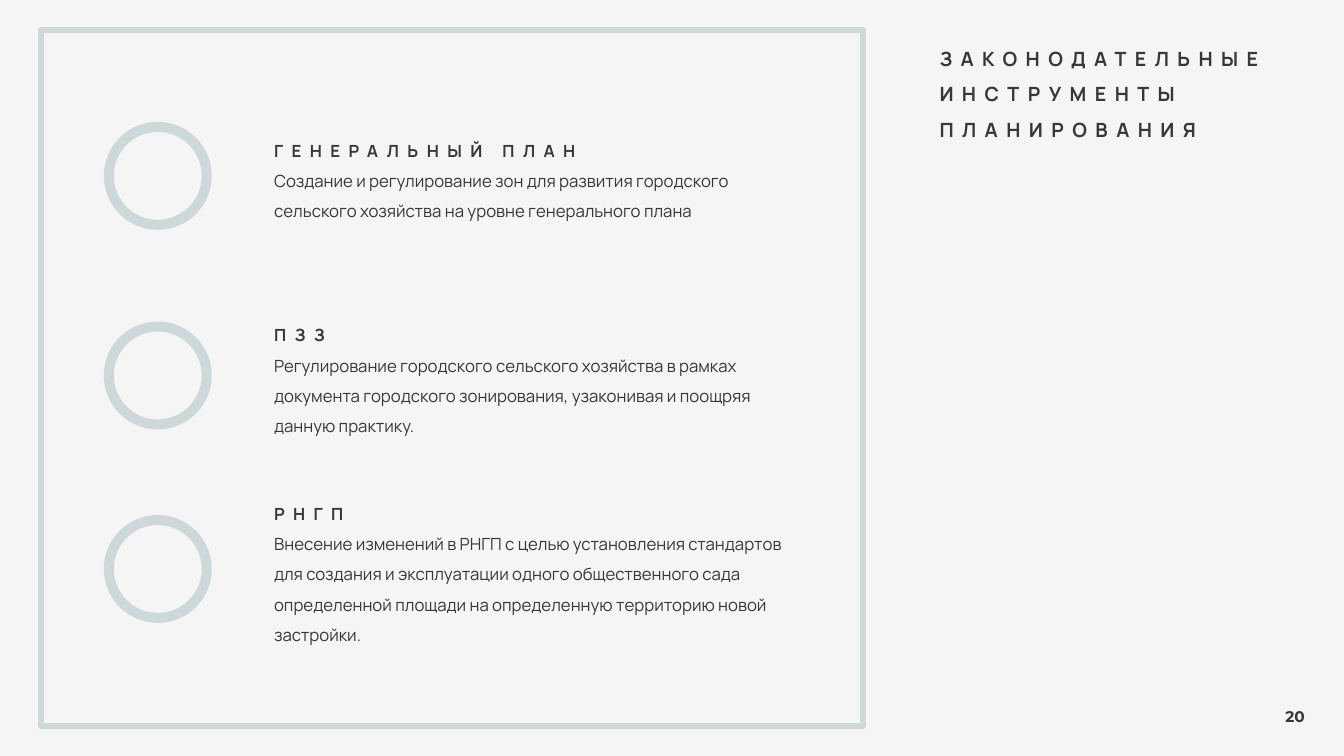
from pptx import Presentation
from pptx import util as u
from pptx.dml.color import RGBColor
from pptx.enum import shapes, text

COLORS = {"paper": "F5F5F5", "ink": "38383A", "frame": "CDD8DA"}
TOOLS = [  # heading, description, middle of the row, text height
    ("ГЕНЕРАЛЬНЫЙ ПЛАН",
     "Создание и регулирование зон для развития городского "
     "сельского хозяйства на уровне генерального плана", 1.745, 1.01),
    ("ПЗЗ",
     "Регулирование городского сельского хозяйства в рамках документа "
     "городского зонирования, узаконивая и поощряя данную практику.", 3.725, 1.01),
    ("РНГП",
     "Внесение изменений в РНГП с целью установления стандартов для создания "
     "и эксплуатации одного общественного сада определенной площади "
     "на определенную территорию новой застройки.", 5.645, 1.31),
]
RING = 1.07


def rgb(name):
    return RGBColor.from_string(COLORS[name])


class Deck:
    def __init__(self):
        self.show = Presentation()
        self.show.slide_width = u.Inches(13.33)
        self.show.slide_height = u.Inches(7.5)
        self.slide = self.show.slides.add_slide(self.show.slide_layouts[6])
        fill = self.slide.background.fill
        fill.solid()
        fill.fore_color.rgb = rgb("paper")

    def shape(self, kind, *box):
        item = self.slide.shapes.add_shape(kind, *map(u.Inches, box))
        item.shadow.inherit = False
        return item

    def frame(self, *box):
        item = self.shape(shapes.MSO_SHAPE.RECTANGLE, *box)
        item.fill.background()
        item.line.color.rgb = rgb("frame")
        item.line.width = u.Pt(4.5)

    def ring(self, *box):
        item = self.shape(shapes.MSO_SHAPE.DONUT, *box)
        item.adjustments[0] = 0.092
        item.fill.solid()
        item.fill.fore_color.rgb = rgb("frame")
        item.line.fill.background()

    def text(self, box, lines, size, font="Manrope", space=1.5, align=None,
             anchor=text.MSO_ANCHOR.TOP, wrap=True):
        """Add a text box; each line is (words, bold, letter spacing in points)."""
        frame = self.slide.shapes.add_textbox(*map(u.Inches, box)).text_frame
        form = {"word_wrap": wrap, "vertical_anchor": anchor,
                "auto_size": text.MSO_AUTO_SIZE.SHAPE_TO_FIT_TEXT}
        for key, value in form.items():
            setattr(frame, key, value)
        for i, (words, bold, track) in enumerate(lines):
            para = frame.add_paragraph() if i else frame.paragraphs[0]
            para.line_spacing = space
            para.alignment = align
            run = para.add_run()
            run.text = words
            style = {"name": font, "size": u.Pt(size), "bold": bold}
            for key, value in style.items():
                setattr(run.font, key, value)
            run.font.color.rgb = rgb("ink")
            if track:
                run.font._element.set("spc", str(track * 100))


def main():
    deck = Deck()
    deck.text((12.65, 6.97, 0.41, 0.29), [("20", True, 0)], 11,
              font="Montserrat", space=None, wrap=False)
    deck.text((9.22, 0.3, 3.7, 1.16),
              [("ЗАКОНОДАТЕЛЬНЫЕ ИНСТРУМЕНТЫ ПЛАНИРОВАНИЯ", True, 6)], 14,
              align=text.PP_ALIGN.JUSTIFY)
    deck.frame(0.41, 0.3, 8.15, 6.9)
    for head, body, mid, high in TOOLS:
        deck.text((2.62, mid - high / 2, 5.3, high),
                  [(head, True, 6), (body, False, 0)], 12,
                  anchor=text.MSO_ANCHOR.MIDDLE)
        deck.ring(1.03, mid - RING / 2, RING, RING)
    deck.show.save("out.pptx")


if __name__ == "__main__":
    main()
